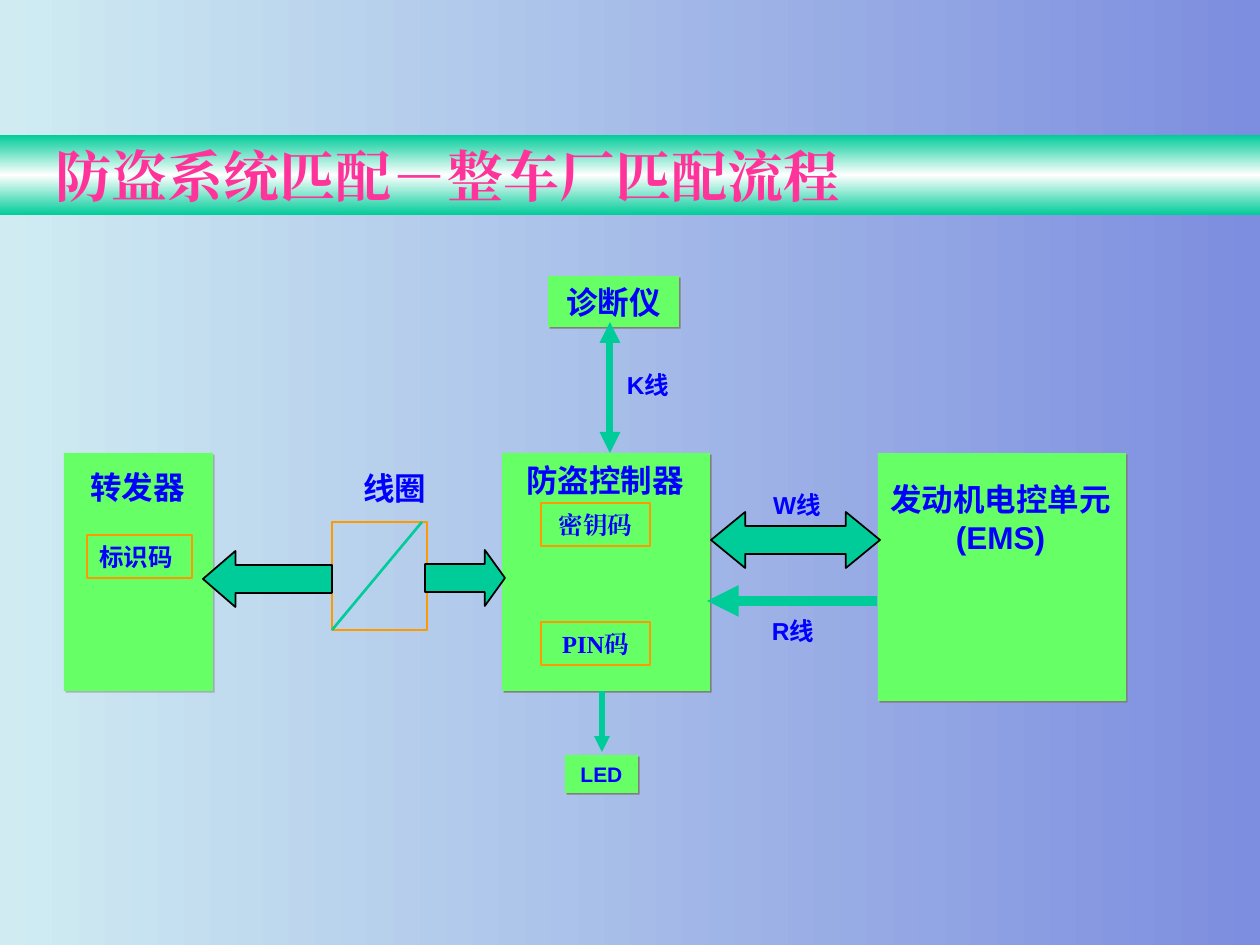
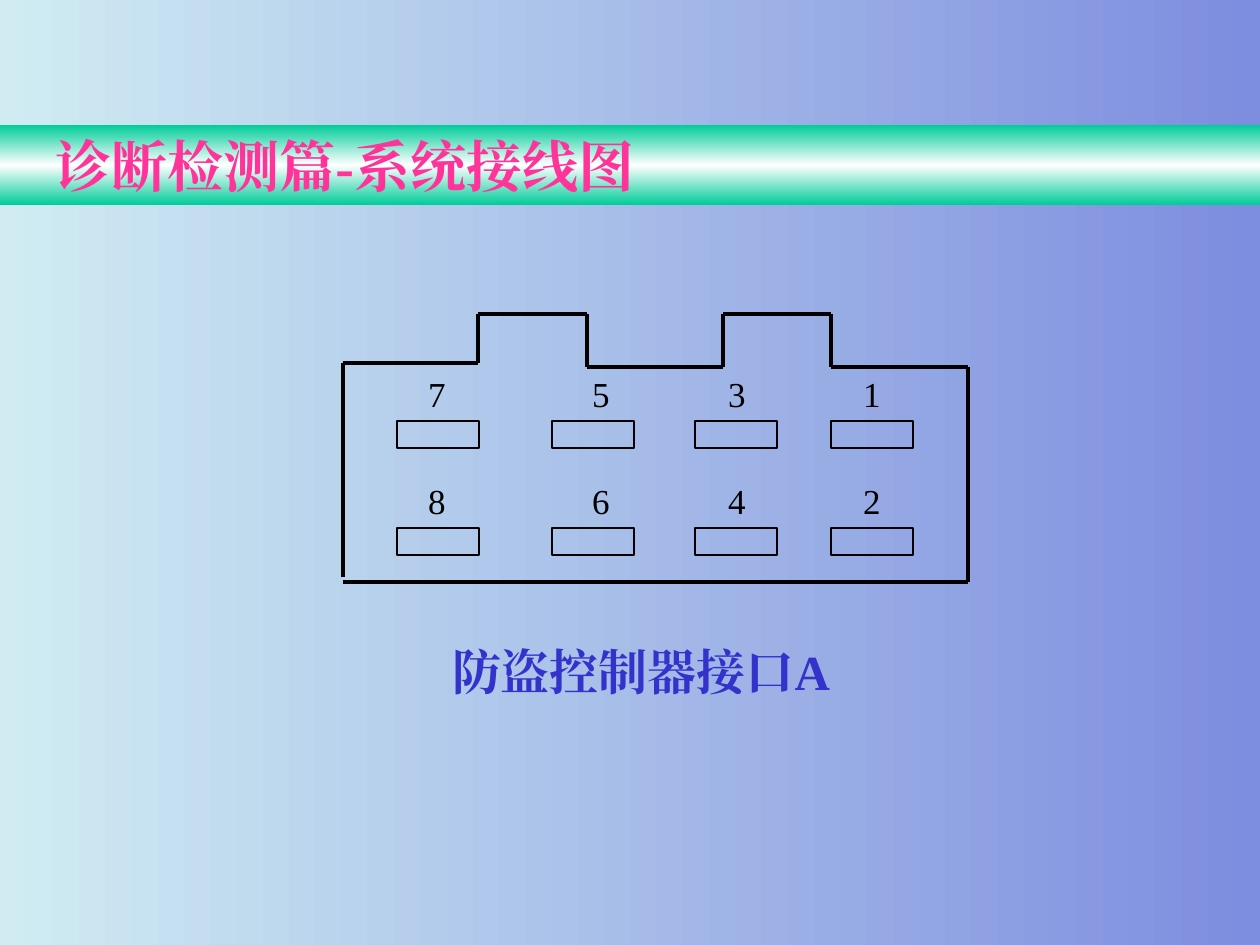
from copy import deepcopy
from itertools import pairwise

from lxml.etree import SubElement
from pptx import Presentation
from pptx.dml.color import RGBColor
from pptx.enum.shapes import MSO_CONNECTOR, MSO_SHAPE as SHAPE
from pptx.enum.text import MSO_ANCHOR, MSO_AUTO_SIZE, PP_ALIGN as ALIGN
from pptx.oxml.ns import qn
from pptx.util import Pt

PX = 914400 / 126
WIDTH, HEIGHT = 1260, 945
BAND_HEIGHT = 80

PERIWINKLE = RGBColor(0x7D, 0x8D, 0xDF)
PALE_CYAN = RGBColor(0xD0, 0xEC, 0xF2)
TEAL = RGBColor(0x00, 0xCC, 0x99)
WHITE = RGBColor(0xFF, 0xFF, 0xFF)
PINK = RGBColor(0xFF, 0x33, 0x99)
GREEN = RGBColor(0x66, 0xFF, 0x66)
ORANGE = RGBColor(0xFF, 0x99, 0x00)
BLUE = RGBColor(0x00, 0x00, 0xFF)
INDIGO = RGBColor(0x33, 0x33, 0xCC)
BLACK = RGBColor(0x00, 0x00, 0x00)

ARIAL, TIMES, NOTO = "Arial", "Times New Roman", "Noto Sans CJK SC"

# Slide 1: boxes are (left, top, width, height)
MATCHING_TITLE = "防盗系统匹配－整车厂匹配流程"
UNITS = [  # box, text, size, shadow opacity in percent
    ((878, 453, 248, 248), "", 18, 100),
    ((502, 453, 208, 238), "", 18, 100),
    ((64, 453, 149, 238), "", 18, 50),
    ((548, 276, 131, 51), "诊断仪", 18, 100),
    ((565, 755, 73, 38), "LED", 12, 100),
]
LABELS = [  # box, text, size, alignment
    ((78, 461, 126, 51), "转发器", 18, ALIGN.LEFT),
    ((514, 454, 190, 51), "防盗控制器", 18, ALIGN.LEFT),
    ((868, 474, 265, 88), "发动机电控单元(EMS)", 18, ALIGN.CENTER),
    ((332, 462, 126, 51), "线圈", 18, ALIGN.CENTER),
    ((590, 363, 116, 43), "K线", 14, ALIGN.CENTER),
    ((739, 483, 116, 43), "W线", 14, ALIGN.CENTER),
    ((735, 609, 116, 43), "R线", 14, ALIGN.CENTER),
]
CODES = [  # box, text, font, alignment, frame width
    ((87, 535, 105, 43), "标识码", NOTO, ALIGN.LEFT, 1),
    ((541, 503, 109, 43), "密钥码", TIMES, ALIGN.CENTER, 0.75),
    ((541, 622, 109, 43), "PIN码", TIMES, ALIGN.CENTER, 0.75),
]
COIL = (332, 522, 95, 108)
BLOCK_ARROWS = [  # preset, box, head length relative to height
    (SHAPE.RIGHT_ARROW, (425, 550, 80, 56), 0.36),
    (SHAPE.LEFT_ARROW, (203, 551, 129, 56), 0.58),
    (SHAPE.LEFT_RIGHT_ARROW, (711, 512, 169, 56), 0.61),
]
SIGNALS = [  # start, end, width, arrowheads
    ((610, 453), (610, 322), 4, ("headEnd", "tailEnd")),
    ((602, 691), (602, 752), 3, ("tailEnd",)),
    ((877, 601), (707, 601), 6, ("tailEnd",)),
]

# Slide 2
WIRING_TITLE = "诊断检测篇-系统接线图"
CAPTION = "防盗控制器接口A"
PLUG_OUTLINE = [
    (343, 577), (343, 363), (478, 363), (478, 314), (587, 314), (587, 367), (723, 367),
    (723, 314), (831, 314), (831, 367), (968, 367), (968, 582), (343, 582),
]
PIN_COLUMNS = [  # upper pin, slot left, number left
    (7, 397, 423), (5, 552, 587), (3, 695, 723), (1, 831, 858),
]
PIN_TOP, PIN_ROW_STEP = 367, 107
NUMBER_SIZE = (28, 53)
SLOT_SIZE = (82, 27)


def emu(*lengths):
    return [round(length * PX) for length in lengths]


def set_gradient(fill, owner, colours, angle):
    fill.gradient()
    stop_list = next(owner.iter(qn("a:gsLst")))
    while len(stop_list) < len(colours):
        stop_list.append(deepcopy(stop_list[0]))
    for i, (stop, colour) in enumerate(zip(fill.gradient_stops, colours)):
        stop.color.rgb = colour
        stop.position = i / (len(colours) - 1)
    fill.gradient_angle = angle


def write(shape, text, size=18, font=ARIAL, colour=BLUE, bold=True,
          align=ALIGN.CENTER, margin=None):
    frame = shape.text_frame
    frame.word_wrap = True
    frame.auto_size = MSO_AUTO_SIZE.NONE
    frame.vertical_anchor = MSO_ANCHOR.MIDDLE
    if margin is not None:
        frame.margin_left = frame.margin_right = margin
        frame.margin_top = frame.margin_bottom = 0
    paragraph = frame.paragraphs[0]
    paragraph.alignment = align
    run = paragraph.add_run()
    run.text = text
    run.font.size, run.font.bold, run.font.name = Pt(size), bold, font
    run.font.color.rgb = colour
    SubElement(run.font._element, qn("a:ea"), typeface=font)


def add_label(shapes, box, text, **text_format):
    write(shapes.add_textbox(*emu(*box)), text, **text_format)


def add_figure(shapes, box, preset=SHAPE.RECTANGLE, fill=None, line=None, width=1):
    figure = shapes.add_shape(preset, *emu(*box))
    figure.shadow.inherit = False
    if fill is None:
        figure.fill.background()
    else:
        figure.fill.solid()
        figure.fill.fore_color.rgb = fill
    if line is None:
        figure.line.fill.background()
    else:
        figure.line.color.rgb = line
        figure.line.width = Pt(width)
    return figure


def cast_shadow(figure, opacity):
    effects = figure._element.spPr.find(qn("a:effectLst"))
    shadow = SubElement(effects, qn("a:outerShdw"), blurRad="0",
                        dist=str(Pt(1.4)), dir="2700000", algn="ctr")
    grey = SubElement(shadow, qn("a:srgbClr"), val="808080")
    SubElement(grey, qn("a:alpha"), val=str(opacity * 1000))


def add_line(shapes, start, end, colour, width, heads=()):
    line = shapes.add_connector(MSO_CONNECTOR.STRAIGHT, *emu(*start, *end))
    line.line.color.rgb = colour
    line.line.width = Pt(width)
    for head in heads:
        SubElement(line.line._get_or_add_ln(), qn(f"a:{head}"), type="triangle")
    SubElement(line._element.spPr, qn("a:effectLst"))


def add_titled_slide(deck, title_text, band_top):
    slide = deck.slides.add_slide(deck.slide_layouts[5])
    set_gradient(slide.background.fill, slide.element, (PERIWINKLE, PALE_CYAN), 180)
    title = slide.shapes.title
    title.left, title.top, title.width, title.height = emu(0, band_top, WIDTH, BAND_HEIGHT)
    set_gradient(title.fill, title.element, (TEAL, WHITE, TEAL), 90)
    write(title, title_text, size=32, font=TIMES, colour=PINK, align=ALIGN.LEFT,
          margin=emu(55)[0])
    return slide


def build_matching_slide(deck):
    shapes = add_titled_slide(deck, MATCHING_TITLE, 135).shapes
    for box, text, size, opacity in UNITS:
        unit = add_figure(shapes, box, fill=GREEN)
        cast_shadow(unit, opacity)
        if text:
            write(unit, text, size=size)
    for box, text, size, align in LABELS:
        add_label(shapes, box, text, size=size, align=align)

    coil = shapes.add_group_shape().shapes
    left, top, width, height = COIL
    add_figure(coil, COIL, line=ORANGE)
    add_line(coil, (left + width - 5, top), (left, top + height), TEAL, 1.5)

    for preset, box, head_length in BLOCK_ARROWS:
        arrow = add_figure(shapes, box, preset, fill=TEAL, line=BLACK)
        arrow.adjustments[0] = 0.5
        arrow.adjustments[1] = head_length
    for start, end, width, heads in SIGNALS:
        add_line(shapes, start, end, TEAL, width, heads)
    for box, text, font, align, width in CODES:
        write(add_figure(shapes, box, line=ORANGE, width=width), text,
              size=14, font=font, align=align)


def build_wiring_slide(deck):
    shapes = add_titled_slide(deck, WIRING_TITLE, 125).shapes
    plug = shapes.add_group_shape().shapes
    for start, end in pairwise(PLUG_OUTLINE):
        add_line(plug, start, end, BLACK, 2)
    for upper_pin, slot_left, number_left in PIN_COLUMNS:
        for row in range(2):
            top = PIN_TOP + row * PIN_ROW_STEP
            add_figure(plug, (slot_left, top + NUMBER_SIZE[1] + 1, *SLOT_SIZE), line=BLACK)
            add_label(plug, (number_left, top, *NUMBER_SIZE), str(upper_pin + row),
                      size=20, font=TIMES, colour=BLACK, bold=False, margin=0)
    add_label(shapes, (233, 601, 816, 139), CAPTION, size=28, font=TIMES, colour=INDIGO)


def main():
    deck = Presentation()
    deck.slide_width, deck.slide_height = emu(WIDTH, HEIGHT)
    build_matching_slide(deck)
    build_wiring_slide(deck)
    deck.save("out.pptx")


if __name__ == "__main__":
    main()
